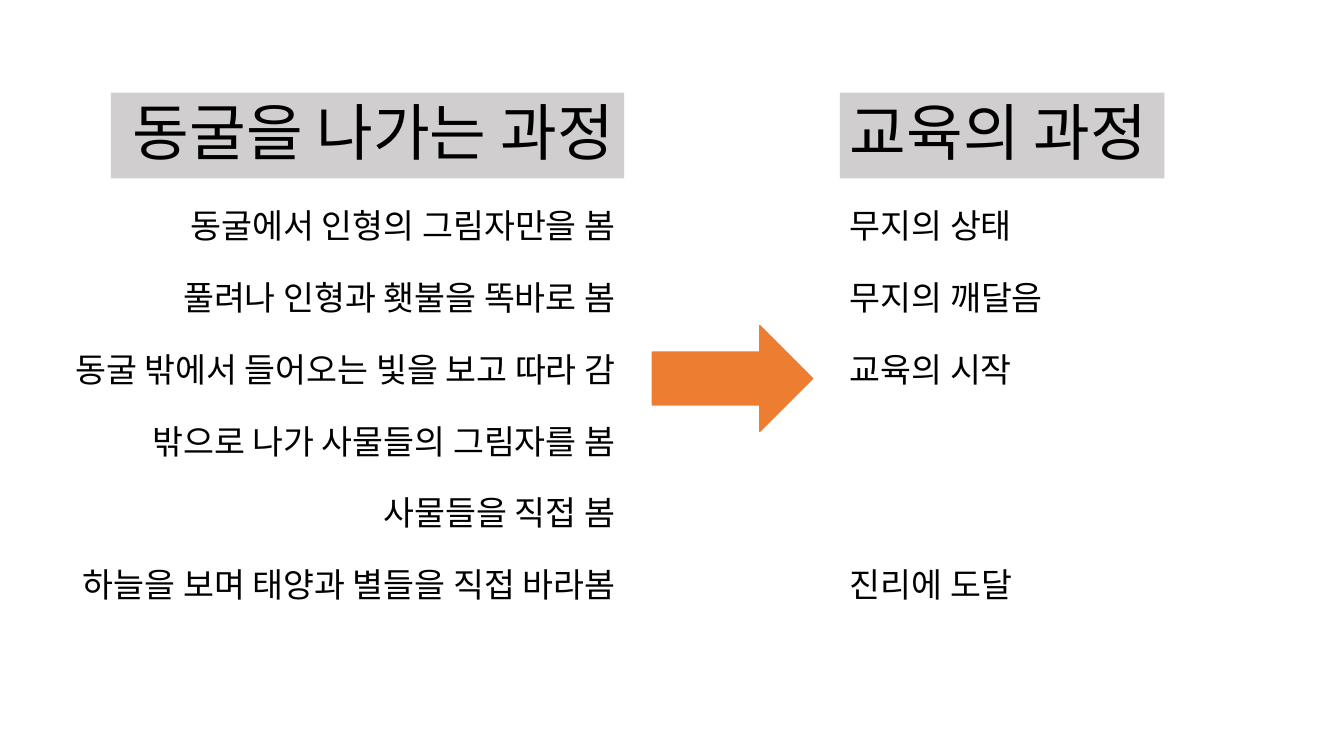
from dataclasses import dataclass

from lxml.etree import SubElement
from pptx import Presentation
from pptx.dml.color import RGBColor
from pptx.enum.shapes import MSO_SHAPE
from pptx.enum.text import MSO_ANCHOR, MSO_AUTO_SIZE, PP_ALIGN
from pptx.oxml.ns import qn
from pptx.util import Inches, Pt

# Each step: row, text, box width
CAVE = {
    "title": "동굴을 나가는 과정",
    "edge": 6.2, "bar": (1.1, 5.09), "align": PP_ALIGN.RIGHT,
    "steps": [
        (0, "동굴에서 인형의 그림자만을 봄", 4.59),
        (1, "풀려나 인형과 횃불을 똑바로 봄", 4.68),
        (2, "동굴 밖에서 들어오는 빛을 보고 따라 감", 5.81),
        (3, "밖으로 나가 사물들의 그림자를 봄", 5),
        (4, "사물들을 직접 봄", 2.6),
        (5, "하늘을 보며 태양과 별들을 직접 바라봄", 5.81),
    ],
}
STUDY = {
    "title": "교육의 과정",
    "edge": 8.33, "bar": (8.33, 3.22), "align": PP_ALIGN.LEFT,
    "steps": [
        (0, "무지의 상태", 2.03),
        (1, "무지의 깨달음", 2.31),
        (2, "교육의 시작", 2.03),
        (5, "진리에 도달", 1.88),
    ],
}
ARROW = (6.47, 3.23, 1.59, 1.05)
BAR_TOP, BAR_HIGH = 0.92, 0.85
ROW_TOP, ROW_GAP, ROW_HIGH = 1.98, 0.714, 0.5


@dataclass(frozen=True)
class Theme:
    font: str = "Noto Sans CJK KR"
    ink: str = "000000"
    bar: str = "D0CECE"
    arrow: str = "ED7D31"
    head: int = 44
    body: int = 24


THEME = Theme()


def block(slide, kind, area, fill):
    shape = slide.shapes.add_shape(kind, *map(Inches, area))
    shape.shadow.inherit = False
    shape.fill.solid()
    shape.fill.fore_color.rgb = RGBColor.from_string(fill)
    shape.line.fill.background()
    return shape


def write(shape, text, size, align, anchor=MSO_ANCHOR.TOP, space=1.0, grow=False):
    frame = shape.text_frame
    frame.word_wrap = True
    frame.vertical_anchor = anchor
    if grow:
        frame.auto_size = MSO_AUTO_SIZE.SHAPE_TO_FIT_TEXT
    para = frame.paragraphs[0]
    para.alignment = align
    para.line_spacing = space
    run = para.add_run()
    run.text = text
    run.font.size = Pt(size)
    run.font.name = THEME.font
    run.font.color.rgb = RGBColor.from_string(THEME.ink)
    # East Asian letters take their font from a:ea
    SubElement(run.font._element, qn("a:ea"), typeface=THEME.font)


def column(slide, part):
    left, wide = part["bar"]
    align = part["align"]
    bar = block(slide, MSO_SHAPE.RECTANGLE, (left, BAR_TOP, wide, BAR_HIGH), THEME.bar)
    write(bar, part["title"], THEME.head, align, anchor=MSO_ANCHOR.MIDDLE, space=0.9)
    for row, text, wide in part["steps"]:
        left = part["edge"] - (wide if align == PP_ALIGN.RIGHT else 0)
        area = (left, ROW_TOP + row * ROW_GAP, wide, ROW_HIGH)
        box = slide.shapes.add_textbox(*map(Inches, area))
        write(box, text, THEME.body, align, grow=True)


def main():
    deck = Presentation()
    deck.slide_width, deck.slide_height = Inches(13.33), Inches(7.5)
    slide = deck.slides.add_slide(deck.slide_layouts[6])
    for part in (CAVE, STUDY):
        column(slide, part)
    arrow = block(slide, MSO_SHAPE.RIGHT_ARROW, ARROW, THEME.arrow)
    arrow.line.color.rgb = RGBColor.from_string(THEME.arrow)
    arrow.line.width = Pt(1)
    deck.save("out.pptx")


if __name__ == "__main__":
    main()
